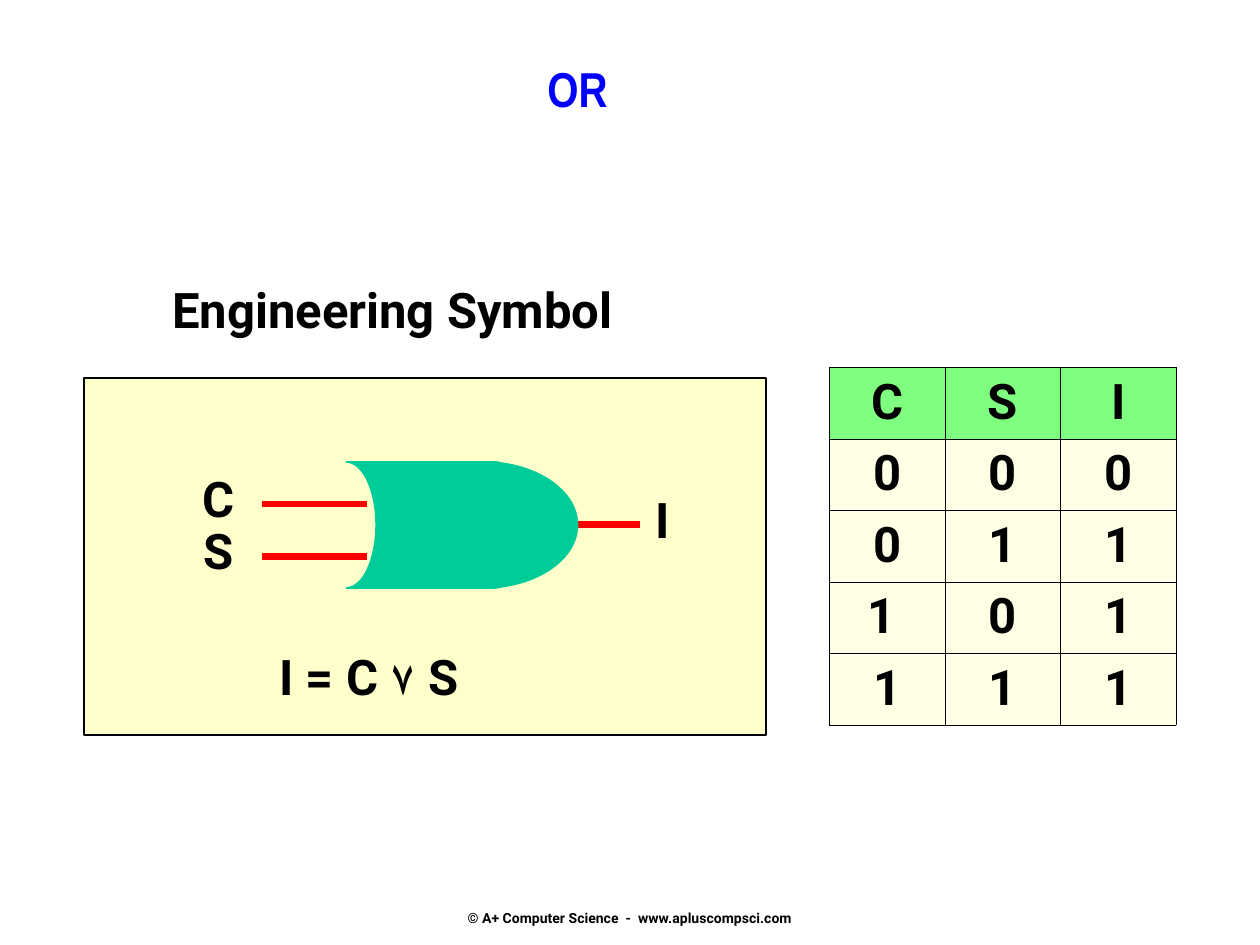
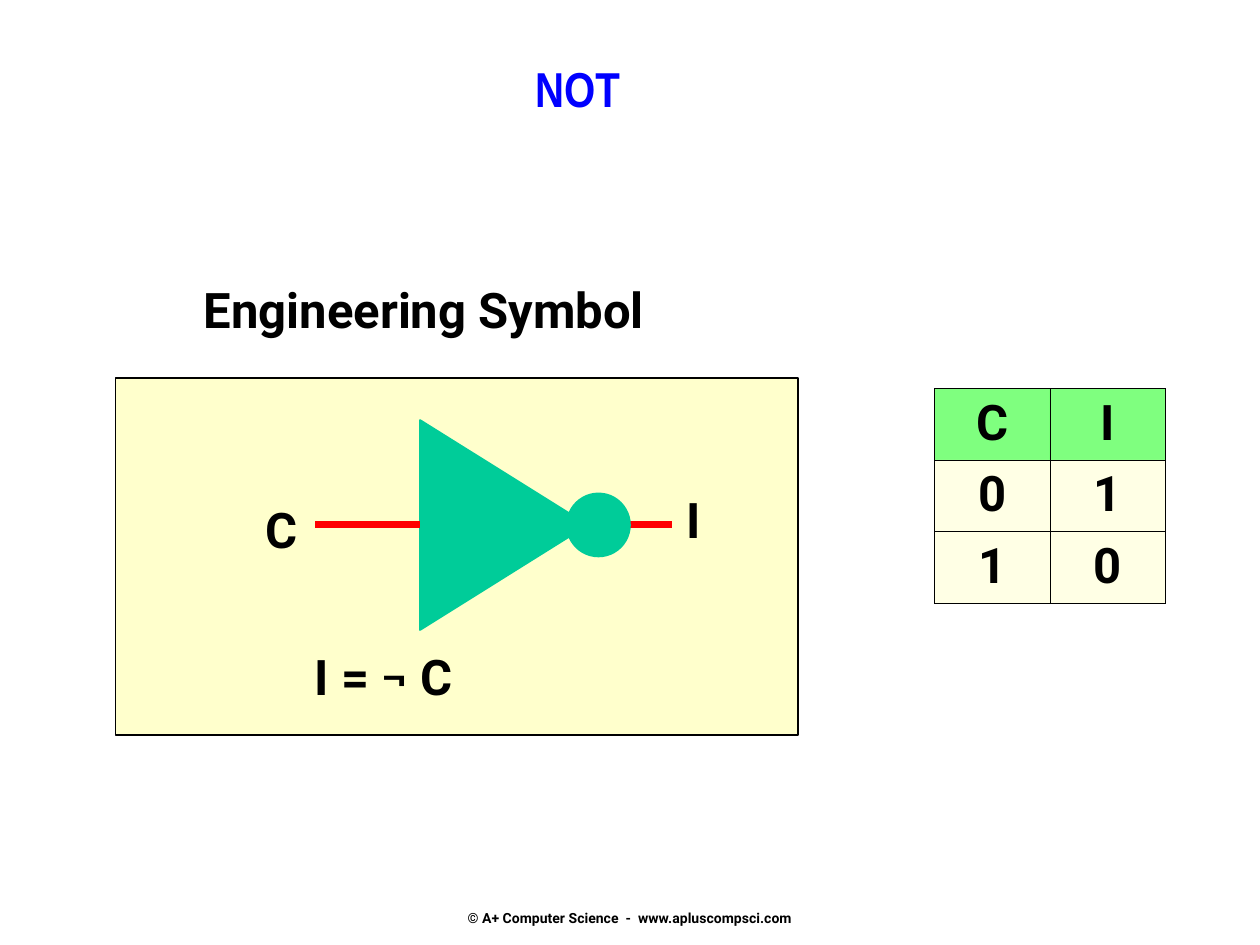
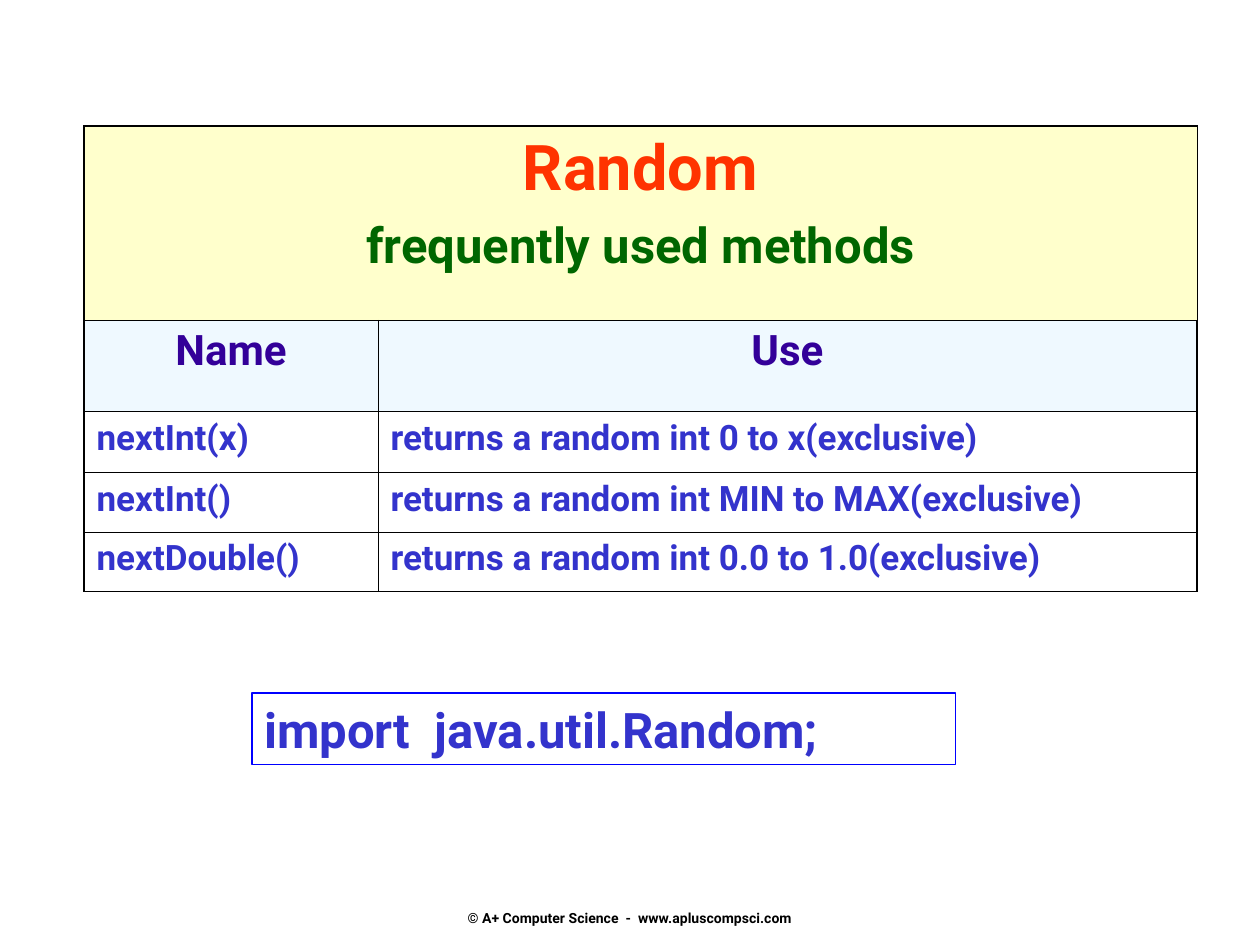
from dataclasses import dataclass

from lxml.etree import SubElement
from pptx import Presentation
from pptx.dml.color import RGBColor
from pptx.enum.shapes import MSO_CONNECTOR, MSO_SHAPE
from pptx.enum.text import MSO_ANCHOR, PP_ALIGN
from pptx.oxml import parse_xml
from pptx.oxml.ns import nsdecls, qn
from pptx.util import Pt


@dataclass(frozen=True)
class Theme:
    """Colours, fonts and sizes shared by the slides."""

    black: str = "000000"
    title: str = "0000FF"
    panel: str = "FFFFCC"
    gate: str = "00CC99"
    wire: str = "FF0000"
    truth_header: str = "00FF00"
    class_name: str = "FF3300"
    subtitle: str = "006600"
    column_name: str = "330099"
    column_fill: str = "E1F4FF"
    code: str = "3333CC"
    body_font: str = "Roboto"
    title_font: str = "Arial Narrow"
    huge: float = 36
    large: float = 28
    medium: float = 24
    small: float = 20
    footer: float = 8
    label_height: float = 41
    thin: float = 0.45
    thick: float = 1.08


THEME = Theme()


def rgb(color):
    """Turn a hex string into a colour."""
    return RGBColor.from_string(color)


def write_text(text_frame, text, *, size=THEME.large, color=THEME.black, font=THEME.body_font,
               align=PP_ALIGN.LEFT, space_before=0):
    """Write one bold paragraph into the next free place of a text frame."""
    paragraph = text_frame.add_paragraph() if text_frame.text else text_frame.paragraphs[0]
    paragraph.alignment = align
    if space_before:
        paragraph.space_before = Pt(space_before)
    run = paragraph.add_run()
    run.text = text
    run.font.name = font
    run.font.size = Pt(size)
    run.font.bold = True
    run.font.color.rgb = rgb(color)


def add_label(slide, text, left, top, width, height=THEME.label_height,
              anchor=MSO_ANCHOR.TOP, **text_format):
    """Add an unwrapped text box."""
    box = slide.shapes.add_textbox(Pt(left), Pt(top), Pt(width), Pt(height))
    box.text_frame.word_wrap = False
    box.text_frame.vertical_anchor = anchor
    write_text(box.text_frame, text, **text_format)


def style_shape(shape, fill, line):
    """Give a shape its fill and a one-point line."""
    shape.shadow.inherit = False
    if fill:
        shape.fill.solid()
        shape.fill.fore_color.rgb = rgb(fill)
    else:
        shape.fill.background()
    shape.line.color.rgb = rgb(line)
    shape.line.width = Pt(1)


def add_preset(slide, kind, left, top, width, height, fill=THEME.gate, line=THEME.gate):
    """Add a preset shape."""
    shape = slide.shapes.add_shape(kind, Pt(left), Pt(top), Pt(width), Pt(height))
    style_shape(shape, fill, line)
    return shape


def add_wire(slide, start, end, height):
    """Add a horizontal circuit wire."""
    wire = slide.shapes.add_connector(
        MSO_CONNECTOR.STRAIGHT, Pt(start), Pt(height), Pt(end), Pt(height))
    wire.line.color.rgb = rgb(THEME.wire)
    wire.line.width = Pt(4)
    SubElement(wire._element.spPr, qn("a:effectLst"))


def fill_cell(cell, color, alpha=100):
    """Fill a cell with a colour of the given opacity in percent."""
    cell.fill.solid()
    cell.fill.fore_color.rgb = rgb(color)
    if alpha < 100:
        for value in cell._tc.tcPr.iter(qn("a:srgbClr")):
            SubElement(value, qn("a:alpha"), val=str(alpha * 1000))


def set_borders(table, outer, inner):
    """Draw outer and inner cell borders."""
    last_row, last_column = len(table.rows) - 1, len(table.columns) - 1
    for row in range(last_row + 1):
        for column in range(last_column + 1):
            edges = {"L": column == 0, "R": column == last_column,
                     "T": row == 0, "B": row == last_row}
            properties = table.cell(row, column)._tc.get_or_add_tcPr()
            for position, (side, is_outer) in enumerate(edges.items()):
                width = Pt(outer if is_outer else inner)
                properties.insert(position, parse_xml(
                    f'<a:ln{side} {nsdecls("a")} w="{int(width)}"><a:solidFill>'
                    f'<a:srgbClr val="{THEME.black}"/></a:solidFill></a:ln{side}>'))


def add_plain_table(slide, left, top, widths, heights):
    """Add a table without banding and return it."""
    frame = slide.shapes.add_table(len(heights), len(widths), Pt(left), Pt(top),
                                   Pt(sum(widths)), Pt(sum(heights)))
    table = frame.table
    table.first_row = table.horz_banding = False
    for column, width in zip(table.columns, widths):
        column.width = Pt(width)
    for row, height in zip(table.rows, heights):
        row.height = Pt(height)
    return table


def add_truth_table(slide, left, top, rows):
    """Add a truth table with a green header."""
    table = add_plain_table(slide, left, top, [66] * len(rows[0]), [40.8] * len(rows))
    for row, values in enumerate(rows):
        for column, value in enumerate(values):
            cell = table.cell(row, column)
            write_text(cell.text_frame, value, align=PP_ALIGN.CENTER)
            fill_cell(cell, THEME.panel if row else THEME.truth_header, 50)
    set_borders(table, THEME.thin, THEME.thin)


def add_methods_table(slide, methods):
    """Add the table of class methods."""
    table = add_plain_table(slide, 48, 72, [168, 468], [111, 52, 35, 34, 34])
    header = table.cell(0, 0)
    header.merge(table.cell(0, 1))
    write_text(header.text_frame, "Random", size=THEME.huge, color=THEME.class_name,
               align=PP_ALIGN.CENTER)
    write_text(header.text_frame, "frequently used methods", color=THEME.subtitle,
               align=PP_ALIGN.CENTER, space_before=7)
    fill_cell(header, THEME.panel)
    for column, name in enumerate(["Name", "Use"]):
        cell = table.cell(1, column)
        write_text(cell.text_frame, name, size=THEME.medium, color=THEME.column_name,
                   align=PP_ALIGN.CENTER)
        fill_cell(cell, THEME.column_fill, 50)
    for row, method in enumerate(methods, start=2):
        for column, text in enumerate(method):
            cell = table.cell(row, column)
            write_text(cell.text_frame, text, size=THEME.small, color=THEME.code)
            cell.fill.background()
    set_borders(table, THEME.thick, THEME.thin)


def add_slide(presentation):
    """Add a blank slide with the footer."""
    slide = presentation.slides.add_slide(presentation.slide_layouts[6])
    add_label(slide, "© A+ Computer Science  -  www.apluscompsci.com", 246, 512, 228, 25,
              anchor=MSO_ANCHOR.MIDDLE, size=THEME.footer, align=PP_ALIGN.CENTER)
    return slide


def add_gate_slide(presentation, name, panel_left):
    """Add a slide with a gate name, a symbol panel and the output wire."""
    slide = add_slide(presentation)
    add_label(slide, name, 138, 30, 384, 84, color=THEME.title, font=THEME.title_font,
              align=PP_ALIGN.CENTER)
    add_label(slide, "Engineering Symbol", panel_left + 43.5, 156, 293)
    add_preset(slide, MSO_SHAPE.RECTANGLE, panel_left, 216, 390, 204, THEME.panel, THEME.black)
    add_wire(slide, panel_left + 264, panel_left + 318, 300)
    add_label(slide, "I", panel_left + 319.2, 276, 25.2)
    return slide


def add_or_slide(presentation):
    """Add the OR gate slide."""
    slide = add_gate_slide(presentation, "OR", 48)
    for wire_height in (288, 318):
        add_wire(slide, 150, 210, wire_height)
    add_label(slide, "C", 108.7, 264, 31.7)
    add_label(slide, "S", 109.4, 294, 29.5)
    add_label(slide, "I = C ۷ S", 152.6, 366, 121)
    gate_back = add_preset(slide, MSO_SHAPE.FLOWCHART_STORED_DATA, 198, 264, 102, 72)
    gate_back._element.spPr.xfrm.set("flipH", "1")
    add_preset(slide, MSO_SHAPE.OVAL, 222, 264, 108, 72)
    add_truth_table(slide, 474, 210, [("C", "S", "I"), ("0", "0", "0"), ("0", "1", "1"),
                                      ("1 ", "0", "1"), ("1", "1", "1")])


def add_not_slide(presentation):
    """Add the NOT gate slide."""
    slide = add_gate_slide(presentation, "NOT", 66)
    builder = slide.shapes.build_freeform(Pt(240), Pt(240))
    builder.add_line_segments([(Pt(336), Pt(300)), (Pt(240), Pt(360))], close=True)
    style_shape(builder.convert_to_shape(), THEME.gate, THEME.gate)
    add_preset(slide, MSO_SHAPE.OVAL, 324, 282, 36, 36)
    add_wire(slide, 180, 240, 300)
    add_label(slide, "C", 144.7, 282, 31.7)
    add_label(slide, "I = ¬ C", 172.8, 366, 103.7)
    add_truth_table(slide, 534, 222, [("C", "I"), ("0", "1"), ("1", "0")])


def add_random_slide(presentation):
    """Add the slide on the Random class."""
    slide = add_slide(presentation)
    add_methods_table(slide, [
        ("nextInt(x)", "returns a random int 0 to x(exclusive)"),
        ("nextInt()", "returns a random int MIN to MAX(exclusive)"),
        ("nextDouble()", "returns a random int 0.0 to 1.0(exclusive)"),
    ])
    import_box = add_preset(slide, MSO_SHAPE.RECTANGLE, 144, 396, 402, THEME.label_height,
                            None, THEME.title)
    import_box.text_frame.word_wrap = True
    import_box.text_frame.vertical_anchor = MSO_ANCHOR.TOP
    write_text(import_box.text_frame, "import  java.util.Random;", color=THEME.code)


def main():
    """Build and save the presentation."""
    presentation = Presentation()
    presentation.slide_width = Pt(720)
    presentation.slide_height = Pt(540)
    add_or_slide(presentation)
    add_not_slide(presentation)
    add_random_slide(presentation)
    presentation.save("out.pptx")


if __name__ == "__main__":
    main()
